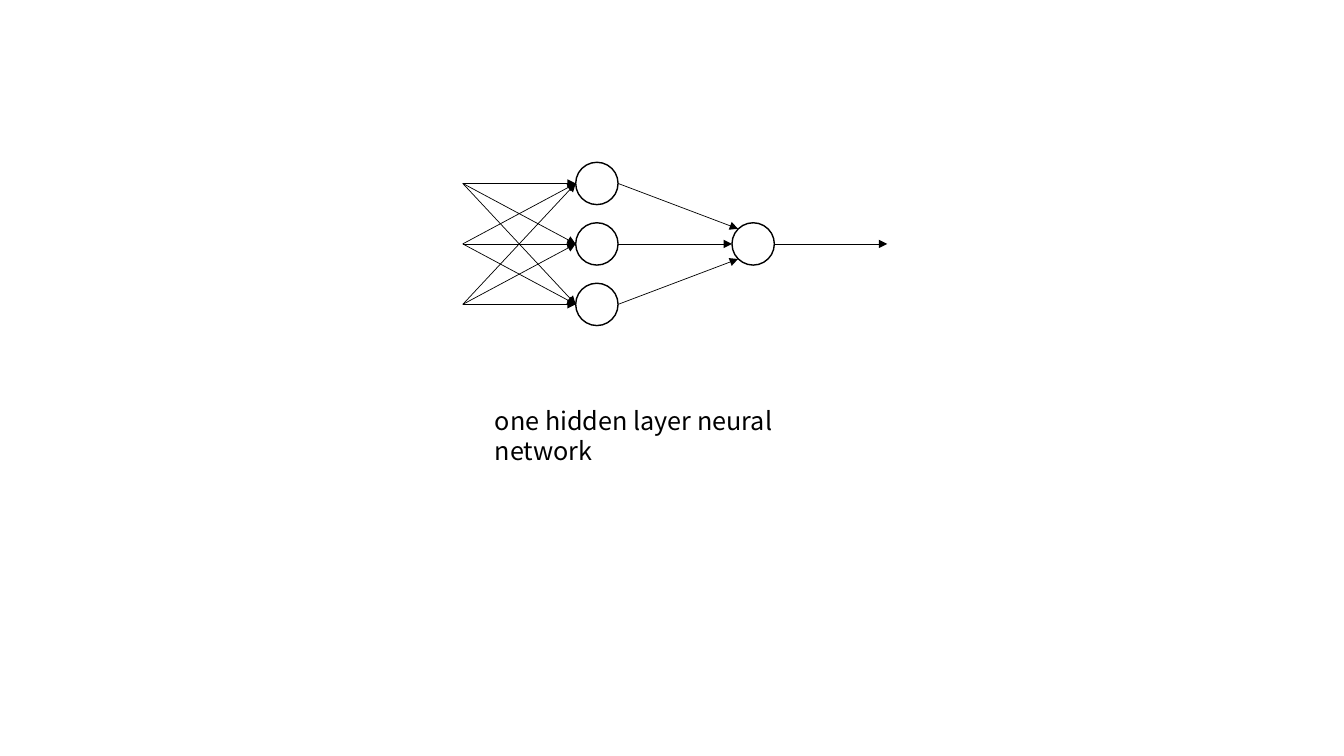
from pptx import Presentation
from pptx.dml.color import RGBColor
from pptx.enum import shapes
from pptx.oxml import ns
from pptx.util import Inches, Pt
from lxml import etree

# Content and places, in inches
CAPTION = "one hidden layer neural network"
FONT = "Noto Sans CJK SC"
BLACK = RGBColor(0, 0, 0)
SIZE = 0.42
ROWS = [1.82, 2.42, 3.02]
MID = ROWS[1]
INPUT, HIDDEN, OUTPUT, END = 4.59, 5.71, 7.26, 8.8

deck = Presentation()
deck.slide_width, deck.slide_height = Inches(13.33), Inches(7.5)
slide = deck.slides.add_slide(deck.slide_layouts[6])


def add_node(left, mid):
    node = slide.shapes.add_shape(
        shapes.MSO_SHAPE.OVAL, Inches(left), Inches(mid - SIZE / 2),
        Inches(SIZE), Inches(SIZE))
    node.shadow.inherit = False
    node.fill.background()
    node.line.color.rgb = BLACK
    node.line.width = Pt(1)


def add_arrow(x1, y1, x2, y2):
    arrow = slide.shapes.add_connector(
        shapes.MSO_CONNECTOR.STRAIGHT,
        Inches(x1), Inches(y1), Inches(x2), Inches(y2))
    arrow.line.color.rgb = BLACK
    arrow.line.width = Pt(0.5)
    line = arrow.line._get_or_add_ln()
    etree.SubElement(line, ns.qn("a:tailEnd"), type="triangle")
    etree.SubElement(arrow._element.spPr, ns.qn("a:effectLst"))


# Neurons
for row in ROWS:
    add_node(HIDDEN, row)
add_node(OUTPUT, MID)

# Every input feeds every hidden neuron
for start in ROWS:
    for stop in ROWS:
        add_arrow(INPUT, start, HIDDEN, stop)

# Hidden neurons feed the output; outer arrows meet its rim diagonally
for row, x, y in zip(ROWS, (0.06, 0, 0.06), (-0.15, 0, 0.15)):
    add_arrow(HIDDEN + SIZE, row, OUTPUT + x, MID + y)
add_arrow(OUTPUT + SIZE, MID, END, MID)

# Caption
box = slide.shapes.add_textbox(
    Inches(4.81), Inches(3.97), Inches(3.71), Inches(0.4))
frame = box.text_frame
frame.word_wrap = True
frame.text = CAPTION
font = frame.paragraphs[0].runs[0].font
font.name, font.size = FONT, Pt(18)
font.color.rgb = BLACK

deck.save("out.pptx")
